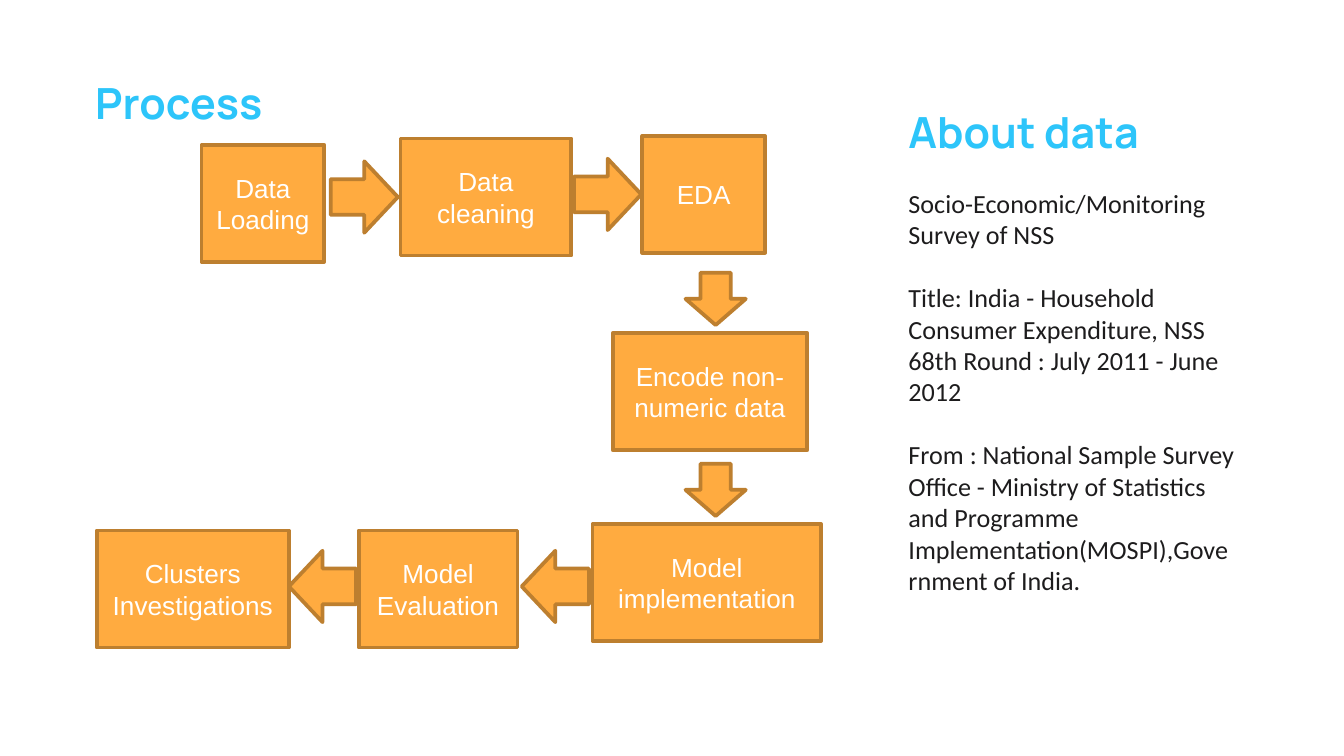
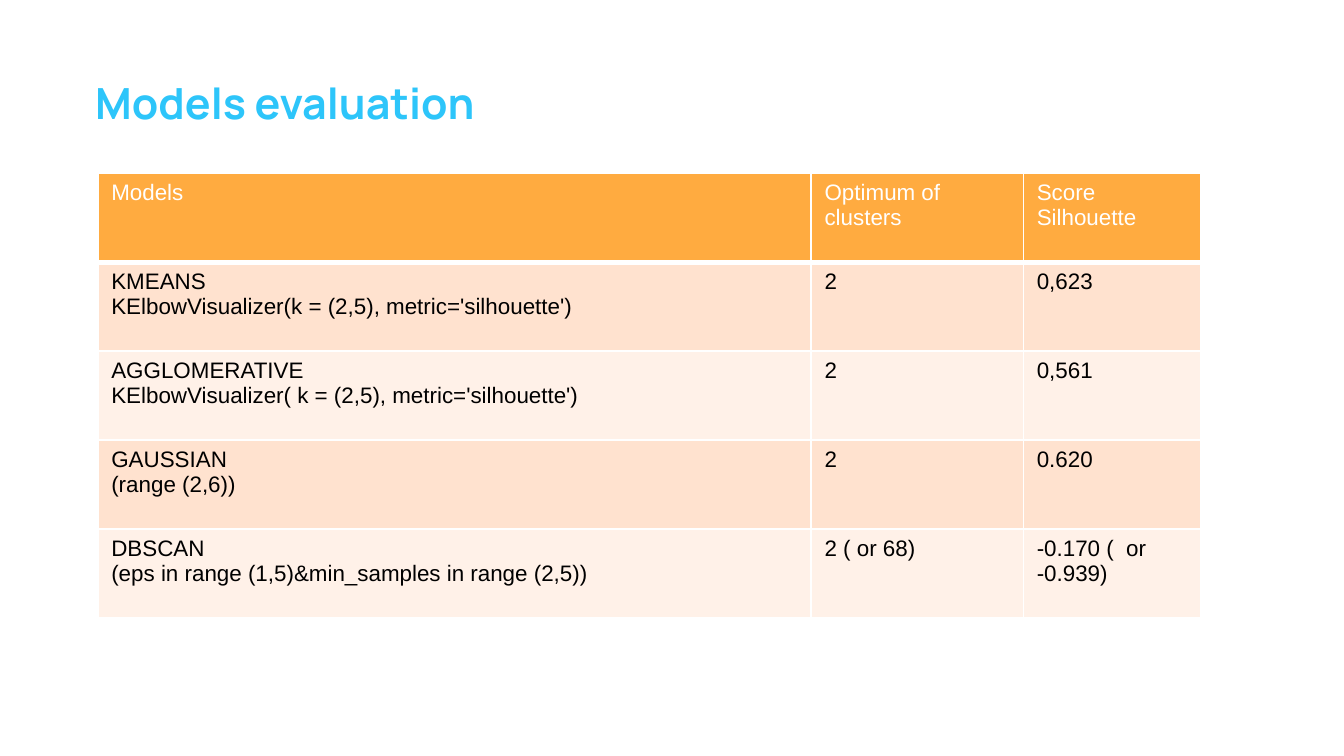
from lxml import etree
from pptx import Presentation
from pptx.dml.color import RGBColor
from pptx.enum import shapes, text
from pptx.oxml import ns
from pptx.util import Cm, Pt

SKY = RGBColor(0x2D, 0xC5, 0xFA)
ORANGE = RGBColor(0xFF, 0xAB, 0x40)
BROWN = RGBColor(0xBD, 0x7F, 0x2F)
PEACH = RGBColor(0xFF, 0xE2, 0xCF)
CREAM = RGBColor(0xFF, 0xF1, 0xE8)
INK = RGBColor(0x1D, 0x1C, 0x1D)
WHITE = RGBColor(0xFF, 0xFF, 0xFF)
BLACK = RGBColor(0, 0, 0)

HEADING = {"name": "Manrope", "size": Pt(23), "bold": True}
BODY = {"name": "Calibri", "size": Pt(14), "bold": False}
STEP = {"name": "Arial", "size": Pt(14)}
CELL = {"name": "Arial", "size": Pt(12), "bold": False}

# Step, left, top, width in cm
STEPS = [
    ("Data Loading", 3.81, 2.74, 2.32),
    ("Data cleaning", 7.57, 2.62, 3.23),
    ("EDA", 12.14, 2.57, 2.32),
    ("Encode non-numeric data", 11.58, 6.3, 3.68),
    ("Model implementation", 11.2, 9.91, 4.32),
    ("Model Evaluation", 6.78, 10.03, 3.0),
    ("Clusters Investigations", 1.83, 10.03, 3.63),
]
STEP_HEIGHT = 2.21

# Left, top of the unrotated arrow in cm, grouped by rotation and size
ARROWS = [
    (0, (1.27, 1.35), [(6.25, 3.05), (10.85, 3.0)]),
    (90, (0.99, 1.14), [(13.03, 5.08), (13.03, 8.69)]),
    (180, (1.27, 1.35), [(9.86, 10.41), (5.46, 10.41)]),
]

ABOUT = [
    "Socio-Economic/Monitoring Survey of NSS",
    "Title: India - Household Consumer Expenditure, NSS 68th Round : July 2011 - June 2012",
    "From : National Sample Survey Office - Ministry of Statistics and Programme "
    "Implementation(MOSPI),Government of India.",
]

SCORES = [
    ("Models", "Optimum of clusters", "Score Silhouette"),
    ("KMEANS\nKElbowVisualizer(k = (2,5), metric='silhouette')", "2", "0,623"),
    ("AGGLOMERATIVE\nKElbowVisualizer( k = (2,5), metric='silhouette')", "2", "0,561"),
    ("GAUSSIAN\n(range (2,6))", "2", "0.620"),
    ("DBSCAN\n(eps in range (1,5)&min_samples in range (2,5))", "2 ( or 68)",
     "-0.170 (  or -0.939)"),
]
COLUMN_WIDTHS = (13.48, 4.01, 3.35)
ROW_HEIGHT = 1.68


def style(paragraph, look, color):
    for name, value in look.items():
        setattr(paragraph.font, name, value)
    paragraph.font.color.rgb = color


def set_margins(frame):
    for side in ("left", "top", "right", "bottom"):
        setattr(frame, f"margin_{side}", Cm(0.25))
    frame.word_wrap = True
    frame.vertical_anchor = text.MSO_ANCHOR.TOP


def write_heading(paragraph, wording):
    paragraph.text = wording
    paragraph.alignment = text.PP_ALIGN.LEFT
    paragraph.space_after = Pt(16)
    style(paragraph, HEADING, SKY)


def add_titled_slide(deck, wording):
    slide = deck.slides.add_slide(deck.slide_layouts[5])
    title = slide.shapes.title
    title.left, title.top, title.width, title.height = map(Cm, (1.55, 1.19, 13.56, 1.37))
    set_margins(title.text_frame)
    title.text_frame.auto_size = text.MSO_AUTO_SIZE.NONE
    write_heading(title.text_frame.paragraphs[0], wording)
    return slide


def add_orange_shape(slide, preset, *place):
    shape = slide.shapes.add_shape(preset, *map(Cm, place))
    shape.shadow.inherit = False
    shape.fill.solid()
    shape.fill.fore_color.rgb = ORANGE
    shape.line.color.rgb = BROWN
    shape.line.width = Pt(2)
    return shape


def add_about(slide):
    about = slide.shapes.add_textbox(*map(Cm, (16.92, 1.75, 6.68, 9.86))).text_frame
    set_margins(about)
    about.auto_size = text.MSO_AUTO_SIZE.SHAPE_TO_FIT_TEXT
    write_heading(about.paragraphs[0], "About data")
    for number, wording in enumerate(ABOUT):
        paragraph = about.add_paragraph()
        paragraph.text = wording
        paragraph.space_before = Pt(17 if number else 0)
        style(paragraph, BODY, INK)


def add_process(slide):
    for wording, left, top, width in STEPS:
        box = add_orange_shape(slide, shapes.MSO_SHAPE.RECTANGLE, left, top, width, STEP_HEIGHT)
        box.text_frame.word_wrap = True
        box.text_frame.vertical_anchor = text.MSO_ANCHOR.MIDDLE
        paragraph = box.text_frame.paragraphs[0]
        paragraph.text = wording
        paragraph.alignment = text.PP_ALIGN.CENTER
        style(paragraph, STEP, WHITE)
    for rotation, size, corners in ARROWS:
        for corner in corners:
            arrow = add_orange_shape(slide, shapes.MSO_SHAPE.RIGHT_ARROW, *corner, *size)
            arrow.rotation = rotation


def set_borders(cell, bottom):
    """Draw white cell borders, 1 pt wide except at the bottom."""
    properties = cell._tc.get_or_add_tcPr()
    for side, width in (("L", 1), ("R", 1), ("T", 1), ("B", bottom)):
        line = etree.SubElement(properties, ns.qn(f"a:ln{side}"), w=str(Pt(width)))
        fill = etree.SubElement(line, ns.qn("a:solidFill"))
        etree.SubElement(fill, ns.qn("a:srgbClr"), val=str(WHITE))


def add_scores(slide):
    place = (1.85, 3.28, sum(COLUMN_WIDTHS), ROW_HEIGHT * len(SCORES))
    table = slide.shapes.add_table(len(SCORES), len(COLUMN_WIDTHS), *map(Cm, place)).table
    for column, width in zip(table.columns, COLUMN_WIDTHS):
        column.width = Cm(width)
    for number, (row, wordings) in enumerate(zip(table.rows, SCORES)):
        row.height = Cm(ROW_HEIGHT)
        header = number == 0
        for cell, wording in zip(row.cells, wordings):
            set_borders(cell, 3 if header else 1)
            cell.fill.solid()
            cell.fill.fore_color.rgb = ORANGE if header else (CREAM, PEACH)[number % 2]
            cell.text = wording
            for paragraph in cell.text_frame.paragraphs:
                style(paragraph, CELL, WHITE if header else BLACK)


def main():
    deck = Presentation()
    deck.slide_width, deck.slide_height = Cm(25.4), Cm(14.29)
    process = add_titled_slide(deck, "Process")
    add_about(process)
    add_process(process)
    add_scores(add_titled_slide(deck, "Models evaluation"))
    deck.save("out.pptx")


if __name__ == "__main__":
    main()
